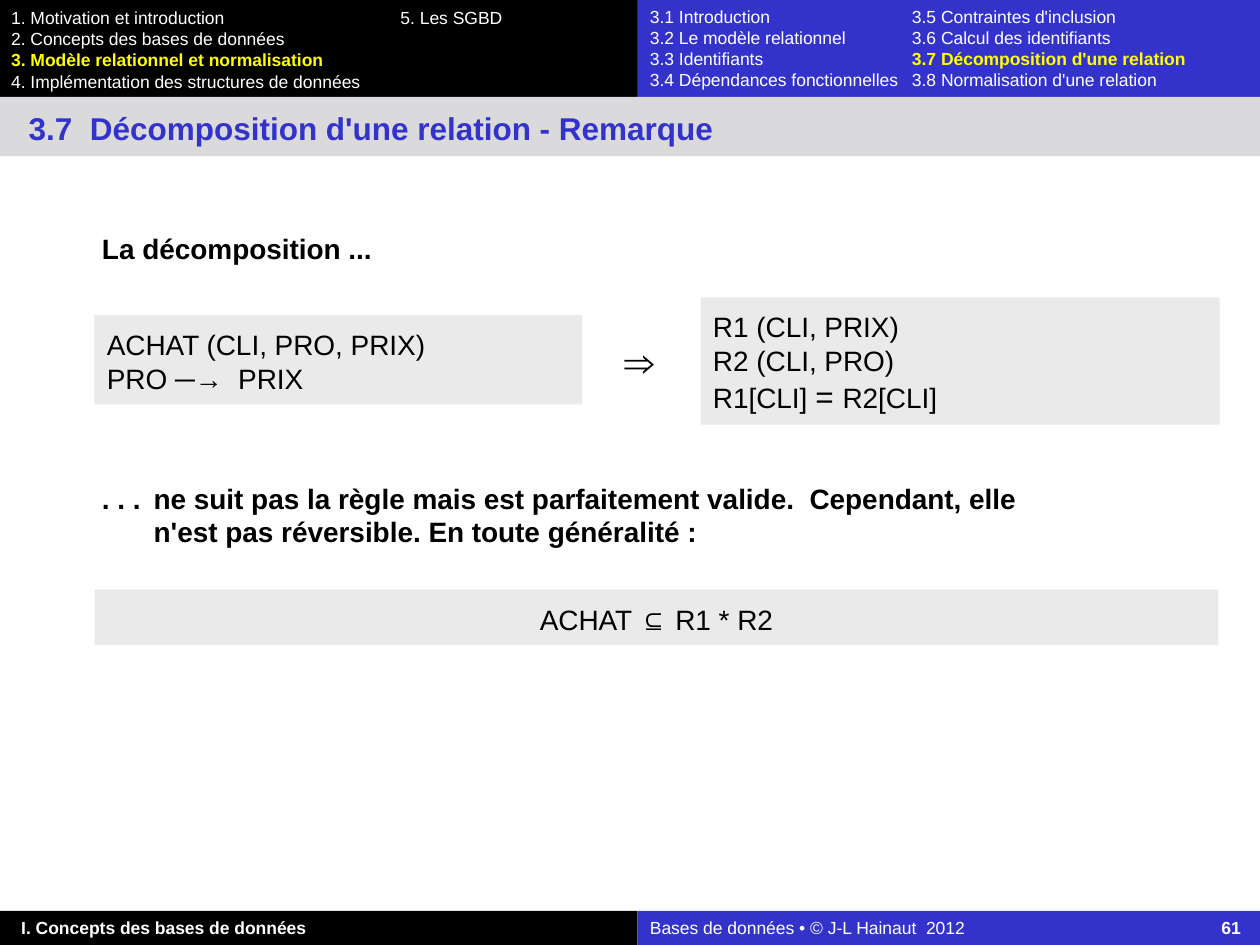
from pptx import Presentation
from pptx.dml.color import RGBColor
from pptx.enum.shapes import MSO_SHAPE
from pptx.enum.text import MSO_ANCHOR, PP_ALIGN
from pptx.oxml.ns import qn
from pptx.util import Inches, Pt
from lxml import etree

RECTANGLE = MSO_SHAPE.RECTANGLE
TOP = MSO_ANCHOR.TOP
LEFT, CENTER, JUSTIFY = PP_ALIGN.LEFT, PP_ALIGN.CENTER, PP_ALIGN.JUSTIFY

FONT = "Arial"
COLORS = {"black": "000000", "white": "FFFFFF", "blue": "3333CC",
          "yellow": "FFFF00", "title_band": "DADADC", "panel": "EAEAEA"}
DEFAULT_INSETS = (0.1, 0.05, 0.1, 0.05)
PANEL_INSETS = (0.1, 0.1, 0.1, 0.08)
STATEMENT_INSETS = (0.06, 0.12, 0.02, 0.12)

CHAPTERS = ["1. Motivation et introduction\t5. Les SGBD",
            "2. Concepts des bases de données",
            "3. Modèle relationnel et normalisation",
            "4. Implémentation des structures de données"]
SECTIONS = ["3.1 Introduction\t3.5 Contraintes d'inclusion",
            "3.2 Le modèle relationnel\t3.6 Calcul des identifiants",
            "3.3 Identifiants\t3.7 Décomposition d'une relation",
            "3.4 Dépendances fonctionnelles\t3.8 Normalisation d'une relation"]
CURRENT = ("3. Modèle relationnel et normalisation",
           "3.7 Décomposition d'une relation")


def add_band(page, box, color):
    band = page.shapes.add_shape(RECTANGLE, *map(Inches, box))
    band.shadow.inherit = False
    band.fill.solid()
    band.fill.fore_color.rgb = RGBColor.from_string(COLORS[color])
    band.line.fill.background()
    return band


def add_text_box(page, box):
    return page.shapes.add_textbox(*map(Inches, box))


def add_tab(para, position, align="l"):
    tabs = etree.SubElement(para._p.get_or_add_pPr(), qn("a:tabLst"))
    etree.SubElement(tabs, qn("a:tab"), pos=str(Inches(position)), algn=align)


def hang(para, indent):
    properties = para._p.get_or_add_pPr()
    properties.set("marL", str(Inches(indent)))
    properties.set("indent", str(-Inches(indent)))


def write(shape, lines, size, color="black", bold=False, align=LEFT,
          insets=DEFAULT_INSETS, tab=None, indent=0, wrap=True):
    """Fill a shape; each line is a list of (text, run overrides)."""
    frame = shape.text_frame
    frame.word_wrap = wrap
    frame.vertical_anchor = TOP
    (frame.margin_left, frame.margin_top,
     frame.margin_right, frame.margin_bottom) = map(Inches, insets)
    for index, line in enumerate(lines):
        para = frame.paragraphs[0] if index == 0 else frame.add_paragraph()
        para.alignment = align
        if tab:
            add_tab(para, *tab)
        if indent:
            hang(para, indent)
        for text, style in line:
            span = para.add_run()
            span.text = text
            span.font.name = FONT
            span.font.size = Pt(style.get("size", size))
            span.font.bold = style.get("bold", bold)
            span.font.color.rgb = RGBColor.from_string(
                COLORS[style.get("color", color)])


def plain(*texts):
    return [[(text, {})] for text in texts]


def outline_line(line):
    """Split an outline line so that the current entry stands out."""
    for entry in CURRENT:
        if line.endswith(entry):
            parts = [(line.removesuffix(entry), {}),
                     (entry, {"color": "yellow", "bold": True})]
            return [part for part in parts if part[0]]
    return [(line, {})]


def add_outline(page, box, color, lines, tab, shift=(0, 0)):
    left, top, width, height = box
    add_band(page, box, color)
    text_box = add_text_box(page, (left + shift[0], top + shift[1], width, height))
    write(text_box, [outline_line(line) for line in lines], 10, "white", tab=(tab,))


def add_footer(page, box):
    left, top, width, height = box
    split = 5.06
    add_band(page, (left, top, split, height), "black")
    course_part = add_text_box(page, (left + 0.07, top, split - 0.07, height))
    write(course_part, plain("I. Concepts des bases de données"), 10, "white", True)
    credit = add_band(page, (left + split, top, width - split, height), "blue")
    write(credit, [[("Bases de données • © J-L Hainaut  2012\t", {}),
                    ("61", {"bold": True})]], 10, "white", tab=(4.69, "r"))


def add_title(page, box):
    left, top, width, height = box
    add_band(page, box, "title_band")
    title = add_text_box(page, (left + 0.13, top + 0.05, 9.33, 0.4))
    write(title, plain("3.7  Décomposition d'une relation - Remarque"),
          18, "blue", True)


def add_statement(page, box, text):
    write(add_text_box(page, box), plain(text), 16, bold=True,
          insets=STATEMENT_INSETS, indent=0.41)


def add_panel(page, box, lines, align=LEFT):
    write(add_band(page, box, "panel"), lines, 16, align=align, insets=PANEL_INSETS)


def add_decomposition(page, box):
    left, top, width, height = box
    # Source relation
    add_panel(page, (left, top + 0.14, 3.87, 0.71),
              plain("ACHAT (CLI, PRO, PRIX)", "PRO ─→  PRIX"), JUSTIFY)
    # Implication sign
    sign = add_text_box(page, (left + 4.11, top + 0.25, 0.46, 0.5))
    write(sign, plain("⇒"), 24, bold=True, wrap=False)
    # Resulting relations
    add_panel(page, (left + 4.81, top, width - 4.81, height),
              plain("R1 (CLI, PRIX)", "R2 (CLI, PRO)")
              + [[("R1[CLI] ", {}), ("= ", {"size": 18}), ("R2[CLI]", {})]])


def main():
    deck = Presentation()
    deck.slide_width, deck.slide_height = Inches(10), Inches(7.5)
    page = deck.slides.add_slide(deck.slide_layouts[6])

    # Navigation header and footer
    add_outline(page, (0, 0, 5.07, 0.77), "black", CHAPTERS, 3.09, (-0.01, 0.01))
    add_outline(page, (5.06, 0, 4.94, 0.77), "blue", SECTIONS, 2.08)
    add_footer(page, (0, 7.23, 10, 0.27))

    # Title and body
    add_title(page, (0, 0.77, 10, 0.47))
    add_statement(page, (0.75, 1.72, 4.97, 0.5), "La décomposition ...")
    add_decomposition(page, (0.75, 2.36, 8.93, 1.01))
    add_statement(page, (0.75, 3.7, 7.66, 0.77),
                  ". . .\tne suit pas la règle mais est parfaitement valide.  "
                  "Cependant, elle n'est pas réversible. En toute généralité :")
    add_panel(page, (0.75, 4.68, 8.92, 0.44),
              [[("ACHAT ", {}), ("⊆", {"bold": True}), (" R1 * R2", {})]], CENTER)

    deck.save("out.pptx")


if __name__ == "__main__":
    main()
